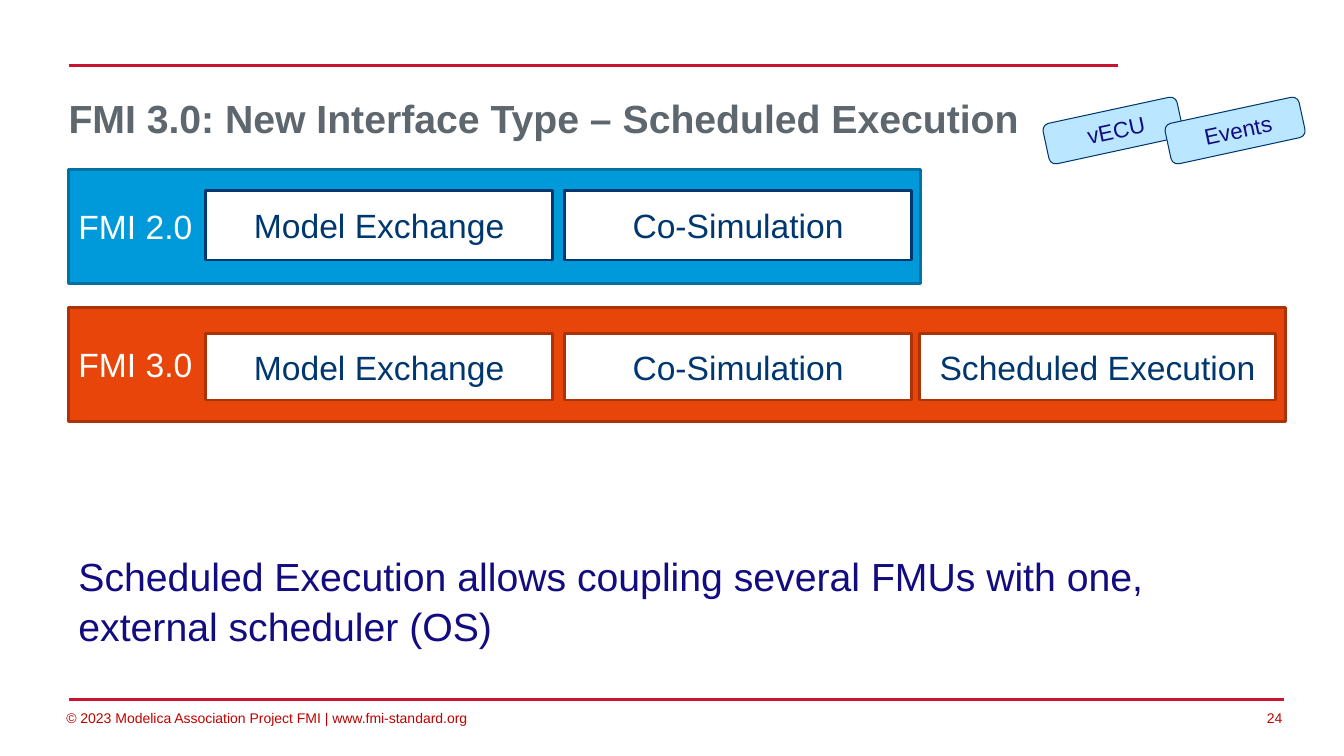
from lxml import etree
from pptx import Presentation
from pptx.dml.color import RGBColor
from pptx.enum.shapes import MSO_CONNECTOR, MSO_SHAPE
from pptx.enum.text import MSO_ANCHOR, PP_ALIGN
from pptx.oxml.ns import qn
from pptx.util import Inches, Pt

RECT, ROUNDED = MSO_SHAPE.RECTANGLE, MSO_SHAPE.ROUNDED_RECTANGLE
STRAIGHT = MSO_CONNECTOR.STRAIGHT
LEFT, CENTER, RIGHT = PP_ALIGN.LEFT, PP_ALIGN.CENTER, PP_ALIGN.RIGHT
MIDDLE, BOTTOM = MSO_ANCHOR.MIDDLE, MSO_ANCHOR.BOTTOM

WHITE = RGBColor(0xFF, 0xFF, 0xFF)
RULE_RED = RGBColor(0xC9, 0x13, 0x30)
FOOTER_RED = RGBColor(0xC0, 0x00, 0x00)
TITLE_GRAY = RGBColor(0x5E, 0x67, 0x6E)
BLUE = RGBColor(0x00, 0x99, 0xD9)
BLUE_EDGE = RGBColor(0x00, 0x71, 0xA1)
NAVY = RGBColor(0x00, 0x37, 0x6F)
ORANGE = RGBColor(0xE8, 0x45, 0x0B)
ORANGE_EDGE = RGBColor(0xAC, 0x33, 0x08)
INDIGO = RGBColor(0x12, 0x0C, 0x80)
TAG_BLUE = RGBColor(0xBB, 0xE6, 0xFF)

MARGIN = 0.68
CONTENT_WIDTH = 12.07
TYPE_COLUMNS = [(2.04, 3.44), (5.6, 3.44), (9.12, 3.53)]  # left, width

prs = Presentation()
prs.slide_width, prs.slide_height = Inches(13.33), Inches(7.5)
slide = prs.slides.add_slide(prs.slide_layouts[6])


def add_text(text, box, *, size, color, bold=False, align=LEFT, anchor=MIDDLE,
             insets=(0.1, 0.05, 0.1, 0.05), spacing=1.0, wrap=True,
             outline=None, fill=None, edge=None, edge_width=2, rotation=0):
    """Place text in a plain box, or in a filled shape when an outline is given."""
    place = [Inches(length) for length in box]
    if outline is None:
        holder = slide.shapes.add_textbox(*place)
    else:
        holder = slide.shapes.add_shape(outline, *place)
        holder.shadow.inherit = False
        holder.fill.solid()
        holder.fill.fore_color.rgb = fill
        holder.line.color.rgb = edge
        holder.line.width = Pt(edge_width)
    holder.rotation = rotation
    frame = holder.text_frame
    frame.word_wrap = wrap
    frame.vertical_anchor = anchor
    (frame.margin_left, frame.margin_top,
     frame.margin_right, frame.margin_bottom) = [Inches(i) for i in insets]
    paragraph = frame.paragraphs[0]
    paragraph.alignment = align
    paragraph.line_spacing = spacing
    run = paragraph.add_run()
    run.text = text
    run.font.name = "Arial"
    run.font.size = Pt(size)
    run.font.bold = bold
    run.font.color.rgb = color


# Footer
for text, left, width, align in [
    ("© 2023 Modelica Association Project FMI | www.fmi-standard.org", 0.56, 4.13, LEFT),
    ("24", 12.34, 0.42, RIGHT),
]:
    add_text(text, (left, 6.99, width, 0.27), size=10, color=FOOTER_RED,
             align=align, insets=(0.1, 0.05, 0.04, 0.05), wrap=False)

# Red rules above the title and above the footer
for y, right in [(0.65, 11.09), (6.94, 12.74)]:
    rule = slide.shapes.add_connector(
        STRAIGHT, Inches(MARGIN), Inches(y), Inches(right), Inches(y))
    rule.line.color.rgb = RULE_RED
    rule.line.width = Pt(2)
    etree.SubElement(rule._element.spPr, qn("a:effectLst"))

# Title
add_text("FMI 3.0: New Interface Type – Scheduled Execution",
         (MARGIN, 0.84, CONTENT_WIDTH, 0.71), size=28, color=TITLE_GRAY,
         bold=True, insets=(0, 0, 0, 0), spacing=0.95)

# One band per FMI version, holding its interface types
for version, top, width, fill, edge, type_top, type_height, type_edge, types in [
    ("FMI 2.0", 1.68, 8.45, BLUE, BLUE_EDGE, 1.89, 0.69, NAVY,
     ["Model Exchange", "Co-Simulation"]),
    ("FMI 3.0", 3.05, CONTENT_WIDTH, ORANGE, ORANGE_EDGE, 3.31, 0.66, ORANGE_EDGE,
     ["Model Exchange", "Co-Simulation", "Scheduled Execution"]),
]:
    add_text(version, (MARGIN, top, width, 1.13), size=24, color=WHITE,
             outline=RECT, fill=fill, edge=edge)
    for interface, (left, type_width) in zip(types, TYPE_COLUMNS):
        add_text(interface, (left, type_top, type_width, type_height), size=24,
                 color=NAVY, align=CENTER, outline=RECT, fill=WHITE, edge=type_edge)

# Key statement
add_text("Scheduled Execution allows coupling several FMUs with one, "
         "external scheduler (OS)",
         (MARGIN, 4.5, 11.91, 1.99), size=28, color=INDIGO, anchor=BOTTOM, spacing=1.05)

# Tilted topic tags
for topic, left in [("vECU", 10.36), ("Events", 11.57)]:
    add_text(topic, (left, 1.09, 1.36, 0.41), size=16, color=INDIGO, align=CENTER,
             insets=(0.1, 0.05, 0.04, 0.05), outline=ROUNDED, fill=TAG_BLUE,
             edge=NAVY, edge_width=0.75, rotation=347.8)

prs.save("out.pptx")
